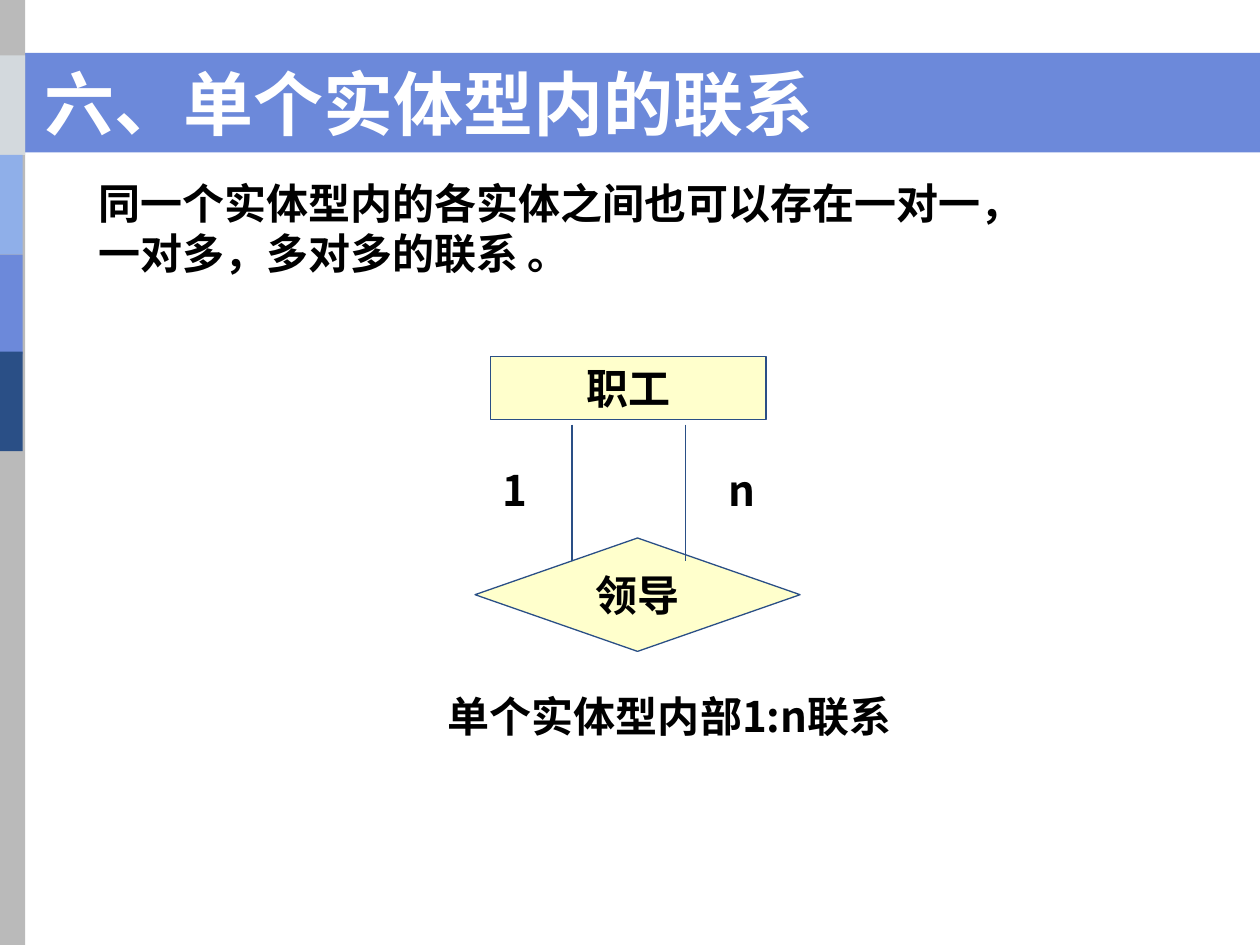
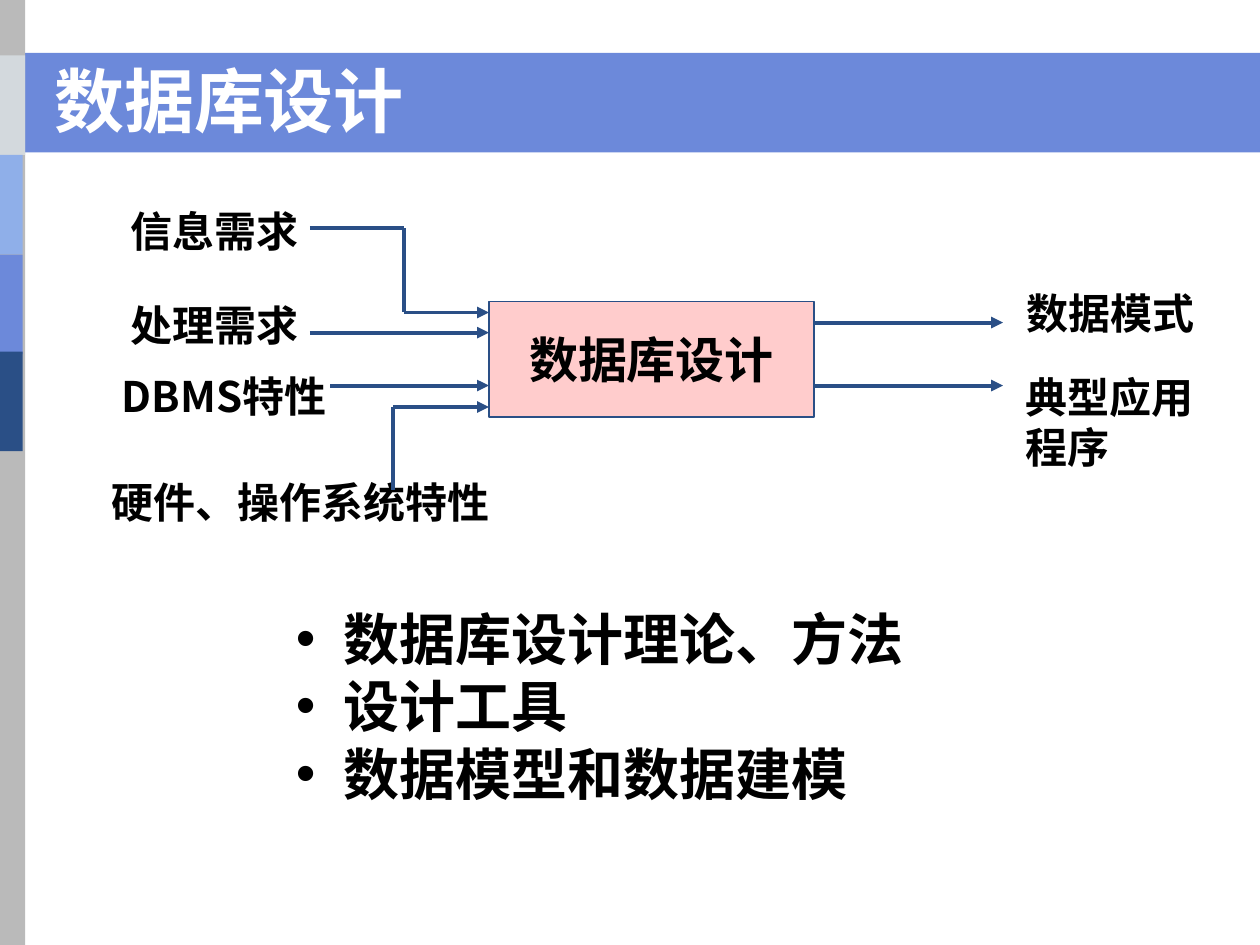
from dataclasses import dataclass
from itertools import pairwise

from lxml.etree import SubElement
from pptx import Presentation
from pptx.dml.color import RGBColor
from pptx.enum.shapes import MSO_CONNECTOR as Connector, MSO_SHAPE as Shape
from pptx.enum.text import MSO_ANCHOR as Anchor, MSO_AUTO_SIZE as AutoSize, PP_ALIGN as Align
from pptx.oxml.ns import qn
from pptx.util import Inches, Pt

BODY_FONT = "Noto Sans CJK SC"
TITLE_FONT = "DejaVu Sans"
NAVY, PERIWINKLE, SKY, MIST, GREY = "2A4F86", "6C89DA", "8FAFE9", "D3D9DD", "BABABA"
CREAM, PINK, BLACK, WHITE = "FFFFCC", "FFCCCC", "000000", "FFFFFF"


@dataclass(frozen=True)
class Box:
    left: float
    top: float
    width: float
    height: float

    def lengths(self):
        return [Inches(v) for v in (self.left, self.top, self.width, self.height)]


@dataclass(frozen=True)
class Band:
    box: Box
    color: str


@dataclass(frozen=True)
class Label:
    text: str
    box: Box
    align: Align = Align.LEFT


@dataclass(frozen=True)
class Node:
    text: str
    box: Box
    kind: Shape
    fill: str
    size: int = 24


@dataclass(frozen=True)
class Route:
    points: tuple
    width: float = 2.25
    arrow: bool = True


BANDS = [
    Band(Box(0, 0.42, 10, 0.79), PERIWINKLE),
    Band(Box(-0.01, 0, 0.21, 7.5), GREY),
    Band(Box(0, 0.44, 0.2, 0.79), MIST),
    Band(Box(-0.02, 1.23, 0.2, 0.79), SKY),
    Band(Box(-0.02, 2.02, 0.2, 0.79), PERIWINKLE),
    Band(Box(-0.02, 2.79, 0.2, 0.79), NAVY),
]


def rgb(color: str) -> RGBColor:
    return RGBColor.from_string(color)


def add_bullet(paragraph, indent: float) -> None:
    properties = paragraph._p.get_or_add_pPr()
    properties.set("marL", str(Inches(indent)))
    properties.set("indent", str(-Inches(indent)))
    bullet_color = SubElement(properties, qn("a:buClr"))
    SubElement(bullet_color, qn("a:srgbClr"), val=BLACK)
    SubElement(properties, qn("a:buFont"), typeface="Arial")
    SubElement(properties, qn("a:buChar"), char="•")


def write(frame, text: str, *, size=24, color=BLACK, font=BODY_FONT,
          align=Align.LEFT, anchor=Anchor.TOP, wrap=True, bullets=False) -> None:
    frame.auto_size = AutoSize.NONE
    frame.word_wrap = wrap
    frame.vertical_anchor = anchor
    frame.text = text
    for paragraph in frame.paragraphs:
        paragraph.alignment = align
        if bullets:
            add_bullet(paragraph, 0.38)
        for run in paragraph.runs:
            run.font.size = Pt(size)
            run.font.bold = True
            run.font.color.rgb = rgb(color)
            run.font.name = font
            SubElement(run._r.get_or_add_rPr(), qn("a:ea"), typeface=BODY_FONT)


def add_block(slide, kind: Shape, box: Box, fill: str, outline: str = ""):
    block = slide.shapes.add_shape(kind, *box.lengths())
    block.shadow.inherit = False
    block.fill.solid()
    block.fill.fore_color.rgb = rgb(fill)
    if outline:
        block.line.color.rgb = rgb(outline)
        block.line.width = Pt(0.75)
    else:
        block.line.fill.background()
    return block


def add_bands(slide) -> None:
    layout_tree = slide.slide_layout.shapes.element
    for position, band in enumerate(BANDS):
        element = add_block(slide, Shape.RECTANGLE, band.box, band.color)._element
        element.nvSpPr.cNvPr.set("id", str(100 + position))
        layout_tree.insert(2 + position, element)


def add_titled_slide(deck, title: str, box: Box, anchor: Anchor):
    slide = deck.slides.add_slide(deck.slide_layouts[5])
    heading = slide.shapes.title
    heading.left, heading.top, heading.width, heading.height = box.lengths()
    write(heading.text_frame, title, size=40, color=WHITE, font=TITLE_FONT, anchor=anchor)
    return slide


def add_text(slide, text: str, box: Box, **style) -> None:
    write(slide.shapes.add_textbox(*box.lengths()).text_frame, text, **style)


def add_labels(slide, labels: list[Label]) -> None:
    for label in labels:
        add_text(slide, label.text, label.box, align=label.align)


def add_node(slide, node: Node) -> None:
    block = add_block(slide, node.kind, node.box, node.fill, NAVY)
    write(block.text_frame, node.text, size=node.size, align=Align.CENTER,
          anchor=Anchor.MIDDLE, wrap=False)


def add_route(slide, route: Route) -> None:
    for start, end in pairwise(route.points):
        ends = [Inches(v) for v in (*start, *end)]
        segment = slide.shapes.add_connector(Connector.STRAIGHT, *ends)
        segment.line.color.rgb = rgb(NAVY)
        segment.line.width = Pt(route.width)
        if route.arrow and end == route.points[-1]:
            SubElement(segment.line._get_or_add_ln(), qn("a:tailEnd"), type="triangle")
        SubElement(segment._element.spPr, qn("a:effectLst"))


def build_entity_relation(deck) -> None:
    slide = add_titled_slide(deck, "六、单个实体型内的联系",
                             Box(0.25, 0.5, 8.08, 0.62), Anchor.MIDDLE)
    add_bands(slide)
    add_text(slide, "同一个实体型内的各实体之间也可以存在一对一，\n一对多，多对多的联系 。",
             Box(0.68, 1.36, 8.28, 0.9))
    add_node(slide, Node("职工", Box(3.89, 2.83, 2.19, 0.5), Shape.RECTANGLE, CREAM))
    add_node(slide, Node("领导", Box(3.77, 4.27, 2.58, 0.9), Shape.DIAMOND, CREAM))
    for x in (4.54, 5.44):
        add_route(slide, Route(((x, 3.37), (x, 4.45)), width=0.75, arrow=False))
    add_labels(slide, [
        Label("1", Box(3.77, 3.64, 0.64, 0.5), Align.CENTER),
        Label("n", Box(5.57, 3.64, 0.64, 0.5), Align.CENTER),
        Label("单个实体型内部1:n联系", Box(3.38, 5.43, 3.87, 0.9), Align.CENTER),
    ])


def build_database_design(deck) -> None:
    slide = add_titled_slide(deck, "数据库设计", Box(0.33, 0.42, 8.52, 0.75), Anchor.BOTTOM)
    add_text(slide, "数据库设计理论、方法\n设计工具\n数据模型和数据建模",
             Box(2.25, 4.75, 5.92, 1.92), size=32, align=Align.JUSTIFY, bullets=True)
    design = Box(3.88, 2.39, 2.58, 0.92)
    add_node(slide, Node("数据库设计", design, Shape.RECTANGLE, PINK, 28))
    add_labels(slide, [
        Label("信息需求", Box(0.94, 1.58, 2.02, 0.5)),
        Label("处理需求", Box(0.94, 2.33, 2.1, 0.5)),
        Label("DBMS特性", Box(0.87, 2.89, 2.27, 0.5)),
        Label("硬件、操作系统特性", Box(0.79, 3.73, 3.58, 0.5)),
        Label("数据模式", Box(8.05, 2.23, 1.7, 0.5)),
        Label("典型应用程序", Box(8.04, 2.9, 1.79, 0.9)),
    ])
    entry, leave, output = design.left, design.left + design.width, 7.96
    for points in (
        ((2.46, 1.81), (3.21, 1.81), (3.21, 2.48), (entry, 2.48)),
        ((2.46, 2.64), (entry, 2.64)),
        ((2.62, 3.06), (entry, 3.06)),
        ((3.12, 3.89), (3.12, 3.23), (entry, 3.23)),
        ((leave, 2.56), (output, 2.56)),
        ((leave, 3.06), (output, 3.06)),
    ):
        add_route(slide, Route(points))


def main() -> None:
    deck = Presentation()
    deck.slide_width, deck.slide_height = Inches(10), Inches(7.5)
    build_entity_relation(deck)
    build_database_design(deck)
    deck.save("out.pptx")


if __name__ == "__main__":
    main()
